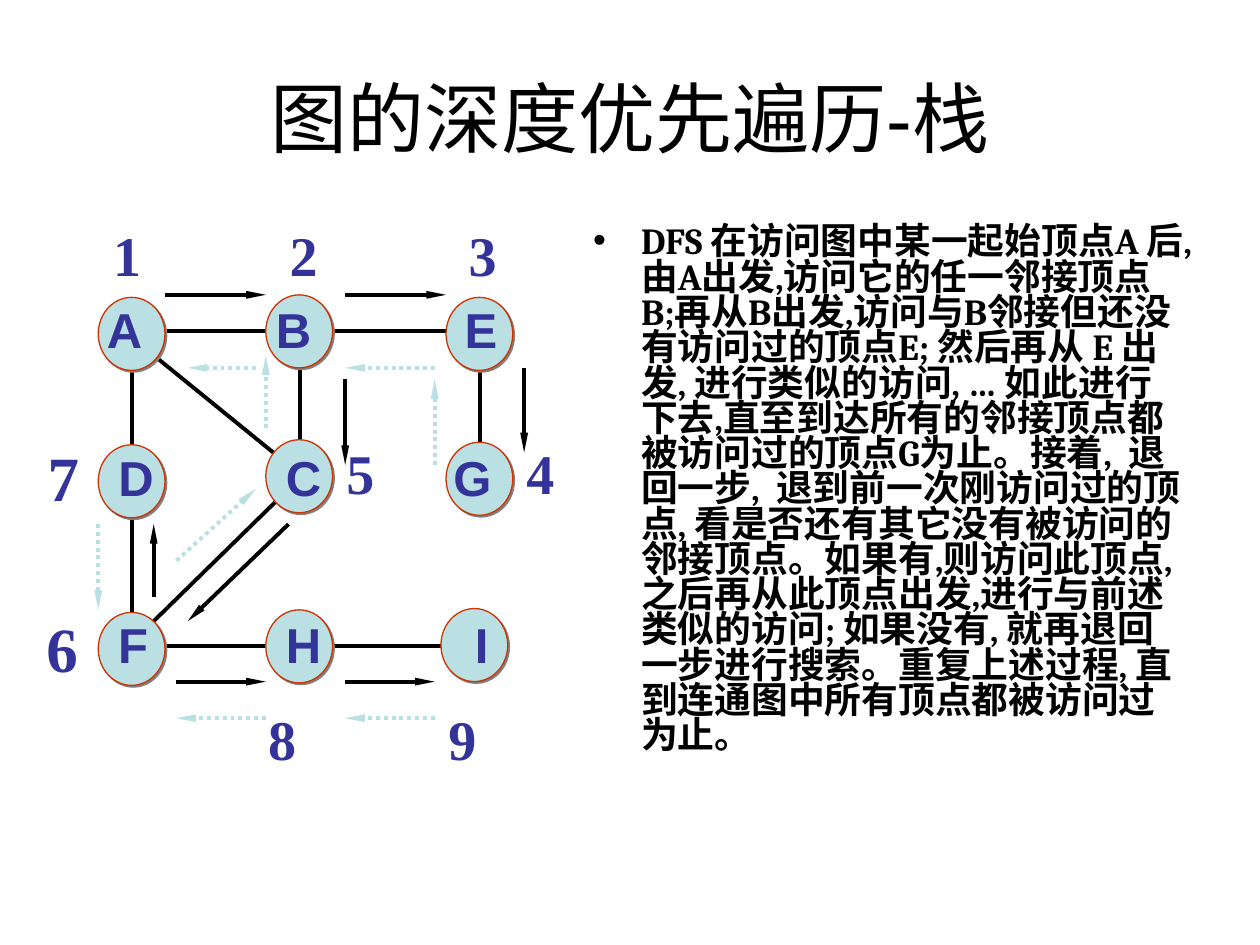
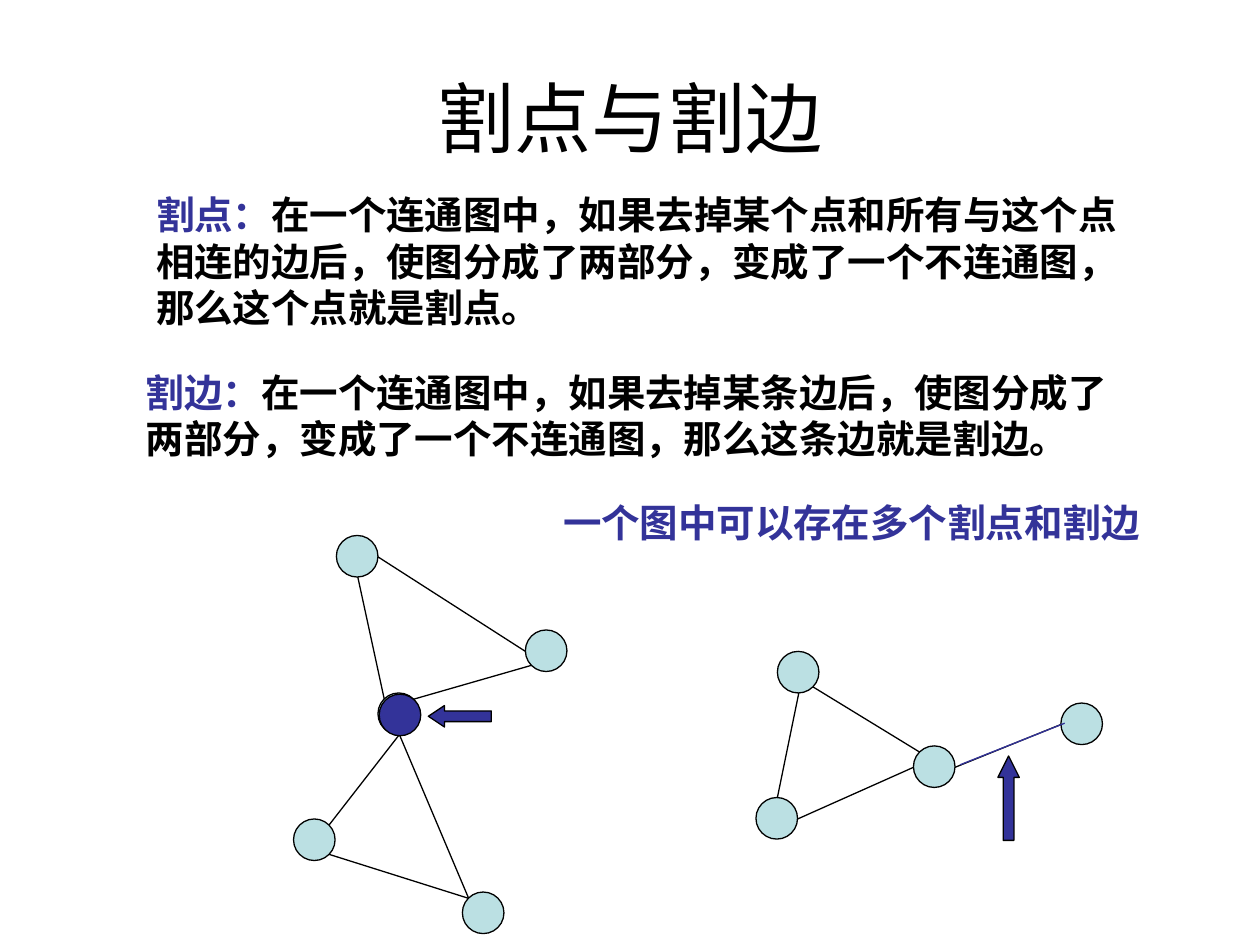
from lxml.etree import SubElement
from pptx import Presentation
from pptx.dml.color import RGBColor
from pptx.enum.dml import MSO_LINE
from pptx.enum.lang import MSO_LANGUAGE_ID as Language
from pptx.enum.shapes import MSO_CONNECTOR, MSO_SHAPE as Shape
from pptx.enum.text import MSO_ANCHOR as Anchor, MSO_AUTO_SIZE as AutoSize, PP_ALIGN as Align
from pptx.oxml.ns import qn
from pptx.util import Pt

PX = 9144  # 100 px to the inch
BLACK = RGBColor(0x00, 0x00, 0x00)
INDIGO = RGBColor(0x33, 0x33, 0x99)
PALE = RGBColor(0xBB, 0xE0, 0xE3)
RED = RGBColor(0xCC, 0x33, 0x00)


def add_text(slide, text, left, top, width, height, *, size, font="Arial", color=INDIGO,
             bold=True, wrap=True, grow=True, align=Align.LEFT, anchor=Anchor.TOP,
             before=0, rest=""):
    """Add a text box; rest continues the paragraph in black."""
    box = slide.shapes.add_textbox(left * PX, top * PX, width * PX, height * PX)
    frame = box.text_frame
    frame.word_wrap = wrap
    frame.auto_size = AutoSize.SHAPE_TO_FIT_TEXT if grow else AutoSize.NONE
    frame.vertical_anchor = anchor
    paragraph = frame.paragraphs[0]
    paragraph.alignment = align
    paragraph.space_before = Pt(before)
    for part, part_color in ((text, color), (rest, BLACK)):
        if part:
            run = paragraph.add_run()
            run.text = part
            run.font.size = Pt(size)
            run.font.name = font
            run.font.bold = bold
            run.font.color.rgb = part_color
            run.font.language_id = Language.SIMPLIFIED_CHINESE
    return paragraph


def add_line(slide, start, end, color=BLACK, width=0.75, arrow=False, dotted=False):
    """Add a straight line, with an optional arrowhead at its end."""
    points = [value * PX for value in (*start, *end)]
    connector = slide.shapes.add_connector(MSO_CONNECTOR.STRAIGHT, *points)
    connector.line.color.rgb = color
    connector.line.width = Pt(width)
    if dotted:
        connector.line.dash_style = MSO_LINE.ROUND_DOT
    properties = connector._element.spPr
    if arrow:
        SubElement(properties.find(qn("a:ln")), qn("a:tailEnd"), type="triangle", w="sm", len="lg")
    SubElement(properties, qn("a:effectLst"))


presentation = Presentation()
presentation.slide_width = 1000 * PX
presentation.slide_height = 750 * PX

# Slides and their titles
slides = []
for title in ("图的深度优先遍历-栈", "割点与割边"):
    slide = presentation.slides.add_slide(presentation.slide_layouts[6])
    add_text(slide, title, 50, 30, 900, 125, size=44, color=BLACK, bold=False,
             grow=False, align=Align.CENTER, anchor=Anchor.MIDDLE)
    slides.append(slide)
search_slide, cut_slide = slides

# Depth-first search: graph edges
search_edges = [
    ((122, 493), (220, 397)), ((122, 282), (229, 369)), ((238, 282), (238, 349)),
    ((122, 513), (354, 513)), ((105, 293), (105, 495)), ((122, 263), (354, 263)),
    ((381, 292), (381, 359)),
]
for start, end in search_edges:
    add_line(search_slide, start, end, width=2.25)

# Depth-first search: steps forward and steps back
forward_steps = [
    ((131, 234), (211, 234)), ((274, 234), (354, 234)), ((416, 292), (416, 359)),
    ((274, 301), (274, 369)), ((229, 416), (149, 493)), ((122, 474), (122, 416)),
    ((140, 541), (211, 541)), ((274, 541), (345, 541)),
]
back_steps = [
    ((345, 369), (345, 301)), ((345, 292), (274, 292)), ((211, 340), (211, 282)),
    ((203, 292), (149, 292)), ((78, 416), (78, 484)), ((211, 570), (140, 570)),
    ((345, 570), (274, 570)), ((140, 445), (203, 388)),
]
for start, end in forward_steps:
    add_line(search_slide, start, end, width=2.25, arrow=True)
for start, end in back_steps:
    add_line(search_slide, start, end, PALE, 2.25, arrow=True, dotted=True)

# Cut vertex and cut edge: node corners, and edges between points on their rims
NODE = 33
cut_nodes = {
    "top": (267, 425), "cut": (300, 550), "low": (367, 708), "right": (417, 500),
    "left": (233, 650), "peak": (617, 517), "hub": (725, 592), "far": (842, 558),
    "base": (600, 633),
}
rim = {
    "N": (17, 0), "S": (17, 33), "W": (0, 17), "E": (33, 17),
    "NW": (5, 5), "NE": (28, 5), "SW": (5, 28), "SE": (28, 28),
}
cut_edges = [
    ("top", "S", "cut", "NW"), ("cut", "NE", "right", "SW"), ("cut", "S", "left", "NE"),
    ("cut", "S", "low", "NW"), ("top", "E", "right", "W"), ("left", "SE", "low", "NW"),
    ("base", "E", "hub", "W"), ("peak", "SE", "hub", "NW"), ("peak", "S", "base", "N"),
    ("far", "W", "hub", "E"),
]
for first, first_side, second, second_side in cut_edges:
    start, end = [
        [corner + offset for corner, offset in zip(cut_nodes[node], rim[side])]
        for node, side in ((first, first_side), (second, second_side))
    ]
    add_line(cut_slide, start, end)

# Nodes and block arrows of both slides
search_nodes = [  # letter, node corner, letter corner
    ("A", 78, 236, 75, 233), ("B", 211, 234, 209, 233), ("E", 354, 236, 359, 233),
    ("D", 78, 353, 84, 350), ("C", 211, 349, 217, 350), ("G", 354, 351, 350, 350),
    ("F", 78, 486, 84, 483), ("H", 211, 484, 217, 483), ("I", 350, 483, 367, 483),
]
figures = [(search_slide, Shape.OVAL, (left, top, 53, 58), PALE, RED)
           for _, left, top, _, _ in search_nodes]
figures += [(cut_slide, Shape.OVAL, (*corner, NODE, NODE), PALE, BLACK)
            for corner in cut_nodes.values()]
figures += [
    (cut_slide, Shape.OVAL, (301, 551, NODE, NODE), INDIGO, BLACK),
    (cut_slide, Shape.LEFT_ARROW, (340, 560, 50, 17), INDIGO, BLACK),
    (cut_slide, Shape.UP_ARROW, (792, 600, 17, 67), INDIGO, BLACK),
]
for slide, kind, place, fill, outline in figures:
    shape = slide.shapes.add_shape(kind, *[value * PX for value in place])
    shape.fill.solid()
    shape.fill.fore_color.rgb = fill
    shape.line.color.rgb = outline
    shape.line.width = Pt(0.75)
    shape.shadow.inherit = False
    if kind == Shape.LEFT_ARROW:
        shape.adjustments[1] = 0.75
    elif kind == Shape.UP_ARROW:
        shape.adjustments[1] = 1.0
    if slide is search_slide:
        effects = shape._element.spPr.find(qn("a:effectLst"))
        shadow = SubElement(effects, qn("a:outerShdw"), dist="17780", dir="2700000",
                            algn="ctr", rotWithShape="0")
        SubElement(shadow, qn("a:srgbClr"), val="808080")
add_line(cut_slide, (762, 607), (845, 574), INDIGO)

# Depth-first search: node letters and visiting order
letter_widths = {"E": 46, "F": 44, "G": 54, "I": 31}
for letter, _, _, left, top in search_nodes:
    add_text(search_slide, letter, left, top, letter_widths.get(letter, 48), 57,
             size=28, wrap=letter == "G")
visits = [
    ("1", 80, 170, 32), ("2", 220, 170, 32), ("3", 362, 170, 32), ("4", 408, 343, 32),
    ("5", 265, 343, 32), ("6", 27, 479, 36), ("7", 28, 343, 36), ("8", 203, 554, 32),
    ("9", 346, 554, 32),
]
for number, left, top, size in visits:
    add_text(search_slide, number, left, top, 42 if size == 32 else 45, size * 2,
             size=size, font="Times New Roman", wrap=False)

# Depth-first search: description with a bullet
description = add_text(
    search_slide,
    "DFS 在访问图中某一起始顶点A 后,由A出发,访问它的任一邻接顶点 B;再从B出发,访问与B邻接但还没有"
    "访问过的顶点E; 然后再从 E 出发, 进行类似的访问, … 如此进行下去,直至到达所有的邻接顶点都被访问过"
    "的顶点G为止。接着,  退回一步,  退到前一次刚访问过的顶点, 看是否还有其它没有被访问的邻接顶点。"
    "如果有,则访问此顶点, 之后再从此顶点出发,进行与前述类似的访问; 如果没有, 就再退回一步进行搜索。"
    "重复上述过程, 直到连通图中所有顶点都被访问过为止。",
    461, 175, 489, 495, size=21, font="Cambria", color=BLACK, grow=False, before=5.2)
description.line_spacing = 0.8
bullet = description._p.get_or_add_pPr()
bullet.set("marL", str(38 * PX))
bullet.set("indent", str(-38 * PX))
SubElement(SubElement(bullet, qn("a:buClr")), qn("a:srgbClr"), val=str(BLACK))
SubElement(bullet, qn("a:buFont"), typeface="Arial")
SubElement(bullet, qn("a:buChar"), char="•")

# Cut vertex and cut edge: definitions
definitions = [
    ("割点：", "在一个连通图中，如果去掉某个点和所有与这个点相连的边后，使图分成了两部分，"
     "变成了一个不连通图，那么这个点就是割点。", 114, 147, 786, 120),
    ("割边：", "在一个连通图中，如果去掉某条边后，使图分成了两部分，变成了一个不连通图，"
     "那么这条边就是割边。", 106, 288, 789, 84),
    ("一个图中可以存在多个割点和割边", "", 437, 391, 492, 47),
]
for term, meaning, *place in definitions:
    add_text(cut_slide, term, *place, size=22, before=13.8, rest=meaning)

presentation.save("out.pptx")
